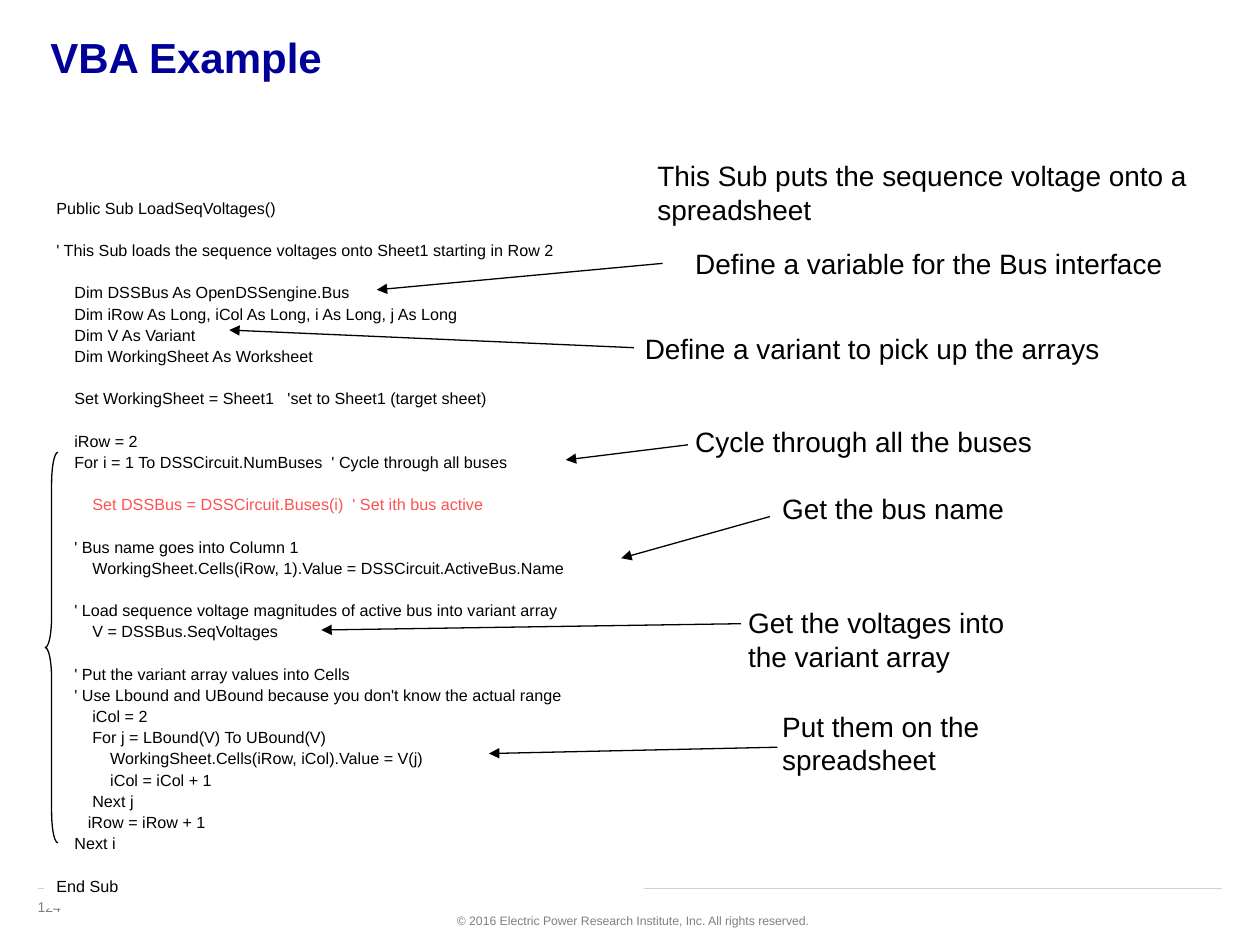
from lxml import etree
from pptx import Presentation
from pptx.dml.color import RGBColor
from pptx.enum import shapes, text
from pptx.oxml import ns
from pptx.util import Pt

COLORS = {"title": "000099", "ink": "000000", "active": "FF5050",
          "footer": "808080", "rule": "D1D1D1", "paper": "FFFFFF"}
LINE_PITCH = 12.1

# Blocks of code, parted by a gap of one line
CODE_BLOCKS = [
    ["Public Sub LoadSeqVoltages()"],
    ["' This Sub loads the sequence voltages onto Sheet1 starting in Row 2"],
    ["    Dim DSSBus As OpenDSSengine.Bus",
     "    Dim iRow As Long, iCol As Long, i As Long, j As Long",
     "    Dim V As Variant",
     "    Dim WorkingSheet As Worksheet"],
    ["    Set WorkingSheet = Sheet1   'set to Sheet1 (target sheet)"],
    ["    iRow = 2",
     "    For i = 1 To DSSCircuit.NumBuses  ' Cycle through all buses"],
    ["        Set DSSBus = DSSCircuit.Buses(i)  ' Set ith bus active"],
    ["    ' Bus name goes into Column 1",
     "        WorkingSheet.Cells(iRow, 1).Value = DSSCircuit.ActiveBus.Name"],
    ["    ' Load sequence voltage magnitudes of active bus into variant array",
     "        V = DSSBus.SeqVoltages"],
    ["    ' Put the variant array values into Cells",
     "    ' Use Lbound and UBound because you don't know the actual range",
     "        iCol = 2",
     "        For j = LBound(V) To UBound(V)",
     "            WorkingSheet.Cells(iRow, iCol).Value = V(j)",
     "            iCol = iCol + 1",
     "        Next j",
     "       iRow = iRow + 1",
     "    Next i"],
    ["End Sub"],
]

# text, left, top, width, height
NOTES = [
    ("This Sub puts the sequence voltage onto a spreadsheet", 368.6, 87.1, 329.8, 46),
    ("Define a variable for the Bus interface", 390.2, 137.5, 329.8, 26.6),
    ("Define a variant to pick up the arrays", 361.4, 185.8, 329.8, 26.6),
    ("Cycle through all the buses", 390.2, 239, 329.8, 26.6),
    ("Get the bus name", 439.9, 277.2, 161.3, 26.6),
    ("Get the voltages into the variant array", 420.5, 342.7, 161.3, 46),
    ("Put them on the spreadsheet", 439.9, 401.8, 161.3, 46),
]

# from x, y (note) to x, y (code)
ARROWS = [
    (378.7, 150.5, 215.3, 165.6),
    (362.2, 198.7, 131, 188.6),
    (393.1, 254.2, 323.3, 262.8),
    (439.9, 295.2, 355, 319),
    (423.4, 356.4, 183.6, 360),
    (444.2, 427, 279.4, 430.6),
]


def add_text(content, left, top, width, height, size, color):
    box = page.shapes.add_textbox(Pt(left), Pt(top), Pt(width), Pt(height))
    box.text_frame.word_wrap = True
    box.text_frame.text = content
    for para in box.text_frame.paragraphs:
        for span in para.runs:
            span.font.name = "Arial"
            span.font.size = Pt(size)
            span.font.color.rgb = RGBColor.from_string(COLORS[color])
    return box


def add_line(x1, y1, x2, y2, color):
    line = page.shapes.add_connector(shapes.MSO_CONNECTOR.STRAIGHT,
                                     Pt(x1), Pt(y1), Pt(x2), Pt(y2))
    line.line.width = Pt(0.75)
    line.line.color.rgb = RGBColor.from_string(COLORS[color])
    etree.SubElement(line._element.spPr, ns.qn("a:effectLst"))
    return line


deck = Presentation()
deck.slide_width, deck.slide_height = Pt(720), Pt(540)
page = deck.slides.add_slide(deck.slide_layouts[5])

# Title
title = page.shapes.title
title.left, title.top, title.width, title.height = Pt(21.6), Pt(14.4), Pt(676.8), Pt(57.6)
title.text_frame.text = "VBA Example"
title.text_frame.vertical_anchor = text.MSO_ANCHOR.TOP
title_para = title.text_frame.paragraphs[0]
title_para.alignment = text.PP_ALIGN.LEFT
title_font = title_para.runs[0].font
title_font.name, title_font.size, title_font.bold = "Arial", Pt(24), True
title_font.color.rgb = RGBColor.from_string(COLORS["title"])

# Footer
add_text("124", 14.4, 509.8, 47.5, 17.3, 8, "footer")
add_line(21.6, 507.6, 698.4, 507.6, "rule")
rights = add_text("© 2016 Electric Power Research Institute, Inc. All rights reserved.",
                  245.5, 518.4, 223.9, 15.8, 7, "footer")
rights.text_frame.word_wrap = False
rights.text_frame.paragraphs[0].alignment = text.PP_ALIGN.RIGHT

# Code listing
listing = add_text("\n".join(line for block in CODE_BLOCKS for line in block),
                   25.2, 96.5, 342.7, 422.6, 9.2, "ink")
listing.fill.solid()
listing.fill.fore_color.rgb = RGBColor.from_string(COLORS["paper"])
listing.text_frame.margin_top = Pt(15.7)
paras = listing.text_frame.paragraphs
for para in paras:
    para.line_spacing = Pt(LINE_PITCH)
    if "Set DSSBus" in para.text:
        para.runs[0].font.color.rgb = RGBColor.from_string(COLORS["active"])
start = 0
for block in CODE_BLOCKS[:-1]:
    start += len(block)
    paras[start].space_before = Pt(LINE_PITCH)

# Notes and their arrows
for note in NOTES:
    add_text(*note, 16, "ink")
for arrow in ARROWS:
    pointer = add_line(*arrow, "ink")
    etree.SubElement(pointer.line._get_or_add_ln(), ns.qn("a:tailEnd"), type="triangle")

# Brace around the bus loop
brace = page.shapes.add_shape(shapes.MSO_SHAPE.LEFT_BRACE,
                              Pt(25.9), Pt(258.5), Pt(7.2), Pt(223.2))
brace.adjustments[0] = 2.48
brace.adjustments[1] = 0.5
brace.fill.background()
brace.line.width = Pt(0.75)
brace.line.color.rgb = RGBColor.from_string(COLORS["ink"])
brace.shadow.inherit = False

deck.save("out.pptx")
